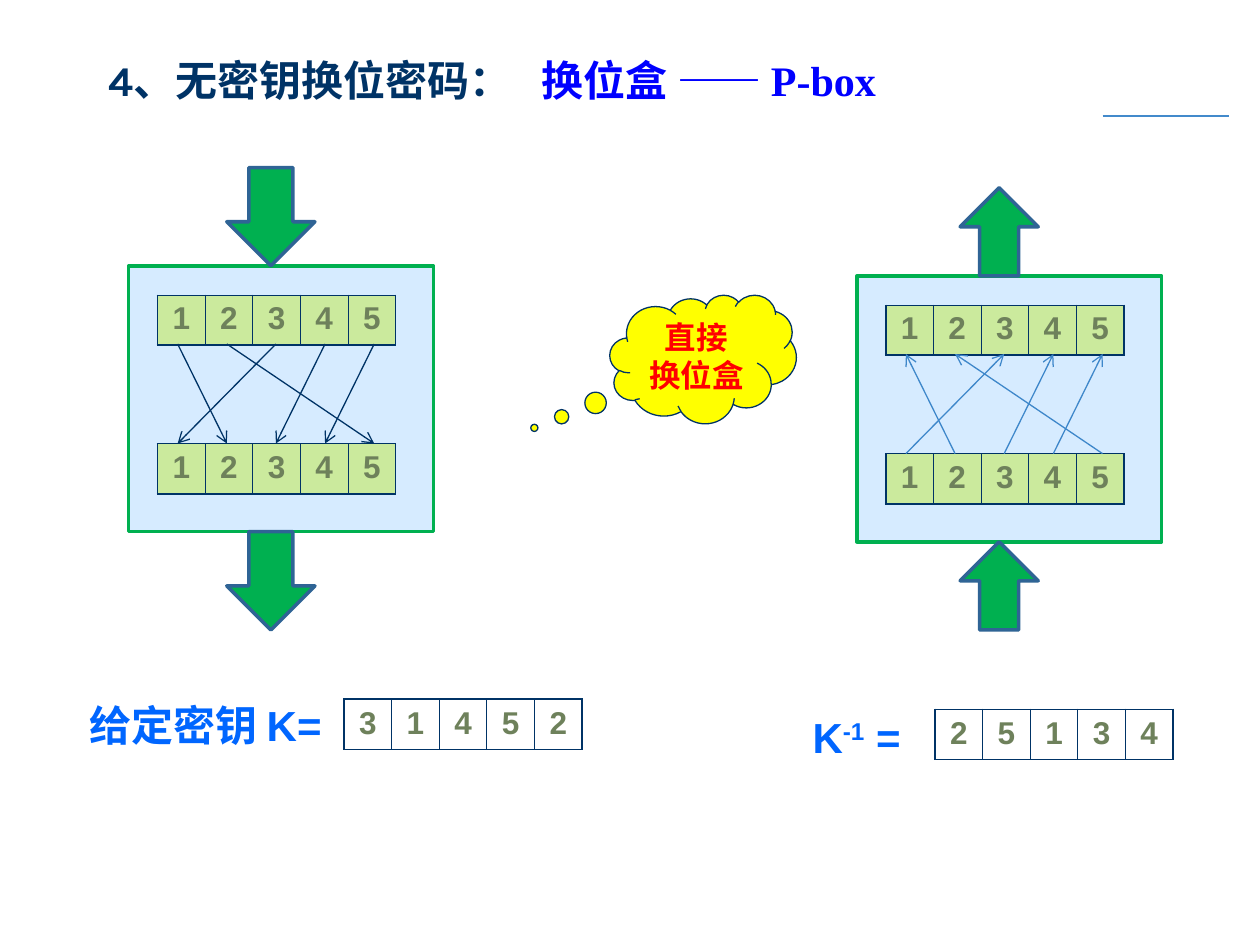
from lxml.etree import SubElement
from pptx import Presentation
from pptx.dml.color import RGBColor
from pptx.enum.shapes import MSO_CONNECTOR, MSO_SHAPE
from pptx.enum.text import MSO_ANCHOR, PP_ALIGN
from pptx.oxml import parse_xml
from pptx.oxml.ns import nsdecls, qn
from pptx.util import Inches, Pt

NAVY = RGBColor(0x00, 0x33, 0x66)
BLUE = RGBColor(0x00, 0x00, 0xFF)
AZURE = RGBColor(0x00, 0x66, 0xFF)
SKY = RGBColor(0x3E, 0x87, 0xCA)
RULE = RGBColor(0x43, 0x8A, 0xCB)
STEEL = RGBColor(0x2F, 0x64, 0x95)
PALE = RGBColor(0xD6, 0xEB, 0xFF)
GREEN = RGBColor(0x00, 0xB0, 0x50)
LIME = RGBColor(0xCB, 0xEA, 0x9D)
OLIVE = RGBColor(0x6E, 0x81, 0x5B)
YELLOW = RGBColor(0xFF, 0xFF, 0x00)
RED = RGBColor(0xFF, 0x00, 0x00)
WHITE = RGBColor(0xFF, 0xFF, 0xFF)

COLS, ROWS = 100, 75
UNIT = Inches(10) // COLS
THIN, THICK = 0.45, 1.08
CELL, HIGH = 3.78, 4.0


def grid(*cells):
    """Turn grid columns and rows into lengths."""
    return [round(cell * UNIT) for cell in cells]


def style(font, size, color, name="Arial"):
    """Set a bold font."""
    font.size, font.bold, font.name = Pt(size), True, name
    font.color.rgb = color


def shape(slide, kind, box, fill, line, width):
    """Add a flat filled shape."""
    item = slide.shapes.add_shape(kind, *grid(*box))
    item.shadow.inherit = False
    item.fill.solid()
    item.fill.fore_color.rgb = fill
    item.line.color.rgb = line
    item.line.width = Pt(width)
    return item


def link(slide, start, end, color, arrow=True):
    """Draw a thin line, with an arrowhead at its end if asked."""
    line = slide.shapes.add_connector(MSO_CONNECTOR.STRAIGHT, *grid(*start, *end))
    line.line.color.rgb = color
    line.line.width = Pt(0.75)
    if arrow:
        SubElement(line.line._get_or_add_ln(), qn("a:tailEnd"), type="arrow")
    SubElement(line._element.spPr, qn("a:effectLst"))


def edge(cell, widths):
    """Set the left, right, top and bottom borders of a cell."""
    props = cell._tc.get_or_add_tcPr()
    for spot, (side, width) in enumerate(zip("LRTB", widths)):
        props.insert(spot, parse_xml(
            f'<a:ln{side} {nsdecls("a")} w="{Pt(width)}"><a:solidFill>'
            f'<a:srgbClr val="{NAVY}"/></a:solidFill></a:ln{side}>'))


def strip(slide, left, top, digits, fill, rims):
    """Add a one-row table of digits with given top and bottom borders."""
    count = len(digits)
    frame = slide.shapes.add_table(1, count, *grid(left, top, CELL * count, HIGH))
    table = frame.table
    table.first_row = table.horz_banding = False
    for spot, digit in enumerate(digits):
        cell = table.cell(0, spot)
        cell.text = str(digit)
        para = cell.text_frame.paragraphs[0]
        para.alignment = PP_ALIGN.CENTER
        style(para.font, 18, OLIVE)
        cell.fill.solid()
        cell.fill.fore_color.rgb = fill
        edge(cell, (THICK if spot == 0 else THIN,
                    THICK if spot == count - 1 else THIN, *rims))


def panel(slide, box, key, up, color, size):
    """Draw a permutation box with its flow arrows, upward or downward."""
    left, top, width, height = box
    shape(slide, MSO_SHAPE.RECTANGLE, box, PALE, GREEN, 2)
    for row in (2.3, 14.1):
        strip(slide, left + 2.3, top + row, range(1, 6), LIME, (THIN, THICK))
    kind = MSO_SHAPE.UP_ARROW if up else MSO_SHAPE.DOWN_ARROW
    wide, tall = size
    for y in (top - tall, top + height):
        shape(slide, kind, (left + 11.3 - wide / 2, y, wide, tall), GREEN, STEEL, 2)
    near, far = (14.1, 6.2) if up else (6.2, 14.1)
    for goal, source in enumerate(key, 1):
        link(slide, (left + 3.9 * source, top + near),
             (left + 3.9 * goal, top + far), color)


def cloud(slide, box):
    """Add the thought cloud naming the box."""
    item = shape(slide, MSO_SHAPE.CLOUD_CALLOUT, box, YELLOW, NAVY, 0.75)
    item.adjustments[0], item.adjustments[1] = -0.905, 0.535
    frame = item.text_frame
    frame.vertical_anchor = MSO_ANCHOR.MIDDLE
    frame.text = "直接\n换位盒"
    for para in frame.paragraphs:
        para.alignment = PP_ALIGN.CENTER
        style(para.font, 18, RED)


def label(slide, box, parts):
    """Add a key label, raising every second part."""
    frame = slide.shapes.add_textbox(*grid(*box)).text_frame
    frame.word_wrap = True
    para = frame.paragraphs[0]
    para.line_spacing = 0.9
    style(para.font, 24, AZURE)
    for spot, part in enumerate(parts):
        run = para.add_run()
        run.text = part
        style(run.font, 24, AZURE)
        if spot % 2:
            run._r.get_or_add_rPr().set("baseline", "30000")


def head(slide, box):
    """Fill the title and draw the rule at its right."""
    title = slide.shapes.title
    title.left, title.top, title.width, title.height = grid(*box)
    frame = title.text_frame
    frame.margin_left, frame.margin_right = grid(0.8, 0.8)
    frame.margin_top, frame.margin_bottom = grid(0.4, 0.4)
    frame.vertical_anchor = MSO_ANCHOR.MIDDLE
    para = frame.paragraphs[0]
    para.alignment = PP_ALIGN.LEFT
    tabs = SubElement(para._p.get_or_add_pPr(), qn("a:tabLst"))
    SubElement(tabs, qn("a:tab"), pos=str(grid(34.4)[0]), algn="l")
    for text, name, color in (("4、无密钥换位密码", "Karla", NAVY),
                              ("：\t", "Times New Roman", NAVY),
                              ("换位盒 —— P-box", "Times New Roman", BLUE)):
        run = para.add_run()
        run.text = text
        style(run.font, 24, color, name)
    link(slide, (87.5, 9.2), (97.5, 9.2), RULE, False)


def main():
    """Build and save the slide."""
    deck = Presentation()
    deck.slide_width, deck.slide_height = grid(COLS, ROWS)
    slide = deck.slides.add_slide(deck.slide_layouts[5])
    key, back = (3, 1, 4, 5, 2), (2, 5, 1, 3, 4)
    head(slide, (7.8, 3.9, 81.7, 4.8))
    panel(slide, (10.2, 21.1, 24.2, 21.1), key, False, NAVY, (7, 7.8))
    cloud(slide, (48.4, 23.4, 14.8, 10.2))
    panel(slide, (68, 21.9, 24.2, 21.1), back, True, SKY, (6.2, 7))
    label(slide, (6.1, 55.5, 26.7, 5.5), ["给定密钥 K="])
    strip(slide, 27.3, 55.5, key, WHITE, (THICK, THIN))
    label(slide, (63.5, 56.4, 10.5, 5.5), ["K", "-1", " ="])
    strip(slide, 74.2, 56.3, back, WHITE, (THICK, THIN))
    deck.save("out.pptx")


if __name__ == "__main__":
    main()
